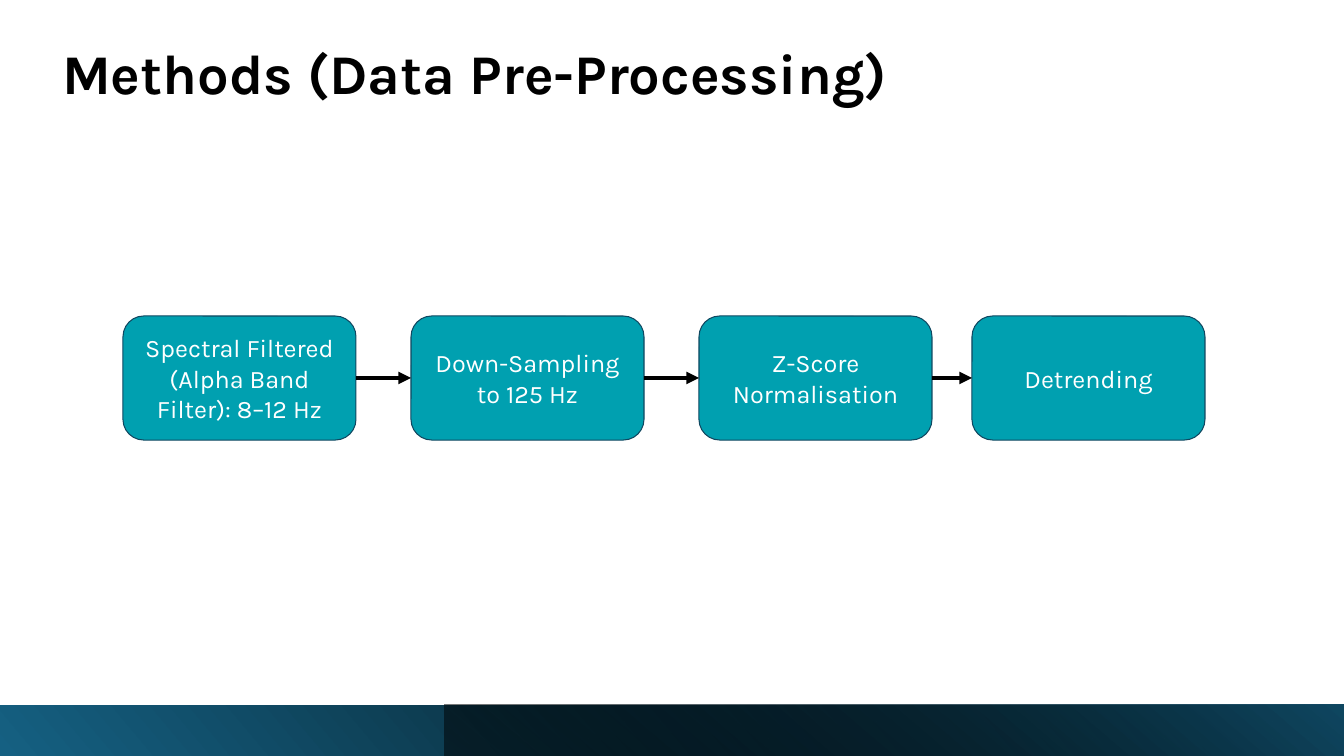
from dataclasses import dataclass

from lxml import etree
from pptx import Presentation, util as u
from pptx.dml.color import RGBColor
from pptx.enum import shapes, text
from pptx.oxml import ns


@dataclass(frozen=True)
class Theme:
    font: str = "Karla"
    ink: str = "000000"
    paper: str = "FFFFFF"
    step: str = "00A0B0"
    outline: str = "104760"
    bar_blue: str = "156082"
    bar_teal: str = "104862"
    title_size: int = 40
    step_size: int = 18


class SlideBuilder:
    SCALE = 914400 / 100.8  # EMU per px

    def __init__(self, deck, theme):
        self.theme = theme
        deck.slide_width, deck.slide_height = self.emu(1344, 756)
        self.page = deck.slides.add_slide(deck.slide_layouts[5])

    def emu(self, *lengths):
        return [u.Emu(round(length * self.SCALE)) for length in lengths]

    def add_words(self, para, words, size, color, bold=False):
        span = para.add_run()
        span.text = words
        span.font.name = self.theme.font
        span.font.size = u.Pt(size)
        span.font.bold = bold
        span.font.color.rgb = RGBColor.from_string(color)

    def title(self, words, left, top, width, height):
        box = self.page.shapes.title
        box.left, box.top, box.width, box.height = self.emu(left, top, width, height)
        frame = box.text_frame
        frame.auto_size = text.MSO_AUTO_SIZE.NONE
        frame.vertical_anchor = text.MSO_ANCHOR.BOTTOM
        para = frame.paragraphs[0]
        para.alignment = text.PP_ALIGN.LEFT
        para.line_spacing = 0.9
        self.add_words(para, words, self.theme.title_size, self.theme.ink, bold=True)

    def shape(self, kind, left, top, width, height):
        box = self.page.shapes.add_shape(kind, *self.emu(left, top, width, height))
        box.shadow.inherit = False
        return box

    def gradient_bar(self, left, top, width, height, stops, angle, rotation=0):
        """Mirrored bar; stops are (position %, colour, opacity %)."""
        bar = self.shape(shapes.MSO_SHAPE.RECTANGLE, left, top, width, height)
        bar.line.fill.background()
        bar.rotation = rotation
        properties = bar._element.spPr
        properties.find(ns.qn("a:xfrm")).set("flipH", "1")
        gradient = etree.Element(ns.qn("a:gradFill"), rotWithShape="1")
        stop_list = etree.SubElement(gradient, ns.qn("a:gsLst"))
        for position, color, opacity in stops:
            stop = etree.SubElement(stop_list, ns.qn("a:gs"), pos=str(position * 1000))
            shade = etree.SubElement(stop, ns.qn("a:srgbClr"), val=color)
            if opacity < 100:
                etree.SubElement(shade, ns.qn("a:alpha"), val=str(opacity * 1000))
        etree.SubElement(gradient, ns.qn("a:lin"), ang=str(angle * 60000), scaled="0")
        properties.find(ns.qn("a:prstGeom")).addnext(gradient)

    def step(self, words, left, top, width, height):
        box = self.shape(shapes.MSO_SHAPE.ROUNDED_RECTANGLE, left, top, width, height)
        box.fill.solid()
        box.fill.fore_color.rgb = RGBColor.from_string(self.theme.step)
        box.line.color.rgb = RGBColor.from_string(self.theme.outline)
        box.line.width = u.Pt(0.75)
        frame = box.text_frame
        frame.word_wrap = True
        frame.vertical_anchor = text.MSO_ANCHOR.MIDDLE
        para = frame.paragraphs[0]
        para.alignment = text.PP_ALIGN.CENTER
        self.add_words(para, words, self.theme.step_size, self.theme.paper)
        return box

    def arrow(self, source, target):
        link = self.page.shapes.add_connector(shapes.MSO_CONNECTOR.STRAIGHT, 0, 0, 0, 0)
        link.begin_connect(source, 3)
        link.end_connect(target, 1)
        link.line.color.rgb = RGBColor.from_string(self.theme.ink)
        link.line.width = u.Pt(3)
        outline = link._element.spPr.find(ns.qn("a:ln"))
        etree.SubElement(outline, ns.qn("a:tailEnd"), type="triangle")
        etree.SubElement(link._element.spPr, ns.qn("a:effectLst"))


def main():
    deck = Presentation()
    theme = Theme()
    builder = SlideBuilder(deck, theme)

    # Title
    builder.title("Methods (Data Pre-Processing)", 52, -71, 994, 183)

    # Footer bars
    builder.gradient_bar(0, 705, 1344, 51,
                         [(0, theme.bar_blue, 100), (90, theme.ink, 100)], 40, rotation=180)
    builder.gradient_bar(445, 705, 899, 51,
                         [(0, theme.ink, 50), (100, theme.bar_teal, 100)], 230)

    # Processing steps, left to right
    steps = [
        (123, "Spectral Filtered (Alpha Band Filter): 8–12 Hz"),
        (411, "Down-Sampling to 125 Hz"),
        (699, "Z-Score Normalisation"),
        (972, "Detrending"),
    ]
    boxes = [builder.step(words, left, 316, 233, 124) for left, words in steps]

    # Arrows between neighbours
    for source, target in zip(boxes, boxes[1:]):
        builder.arrow(source, target)

    deck.save("out.pptx")


if __name__ == "__main__":
    main()
